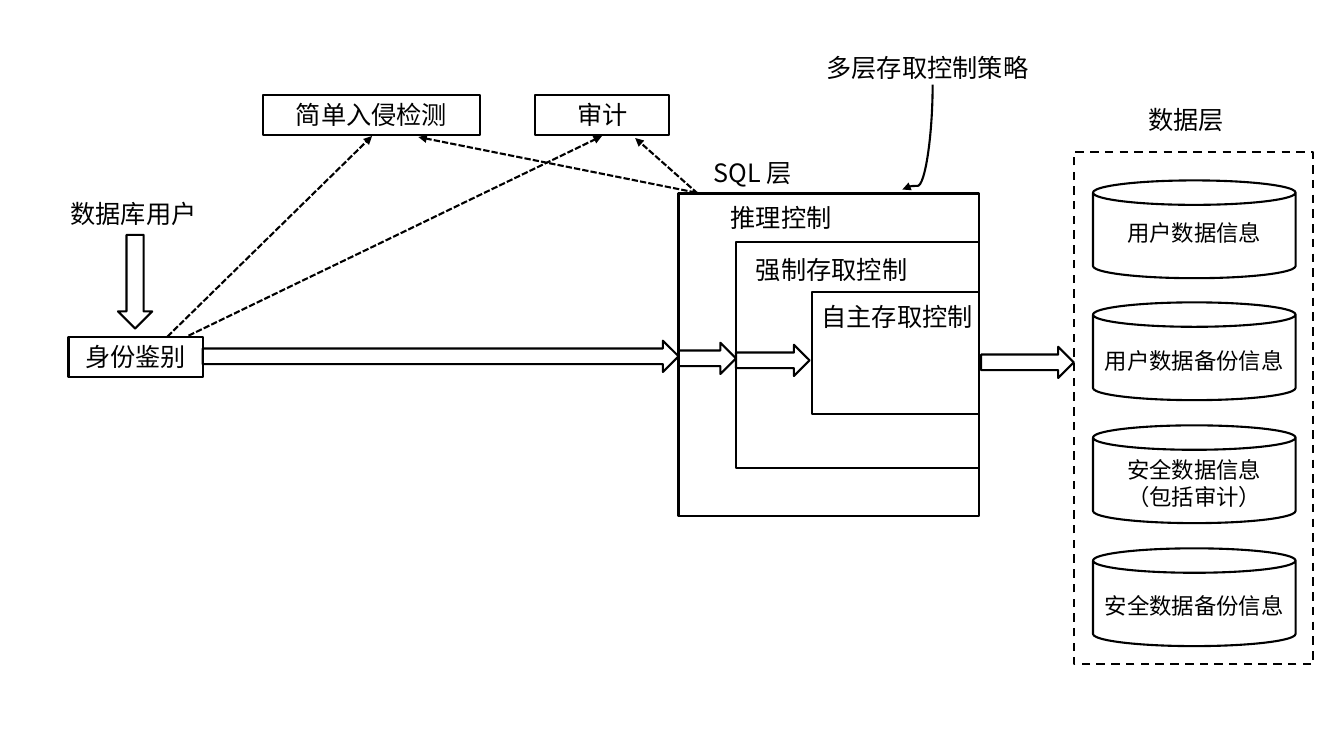
from lxml.etree import SubElement
from pptx import Presentation
from pptx.dml.color import RGBColor
from pptx.enum.dml import MSO_LINE
from pptx.enum.shapes import MSO_CONNECTOR, MSO_SHAPE
from pptx.enum.text import MSO_ANCHOR, MSO_AUTO_SIZE, PP_ALIGN
from pptx.oxml.ns import qn
from pptx.util import Pt

PX = 9144  # 100 px to the inch
INK = {"line": "000000", "text": "000000"}
FONT = "Noto Sans CJK SC"

# Content: left, top, width, height in px
LABELS = [
    ("数据库用户", 60, 192, 149, 40),
    ("多层存取控制策略", 810, 47, 230, 40),
    ("SQL 层", 698, 151, 141, 40),
    ("推理控制", 715, 196, 164, 40),
    ("强制存取控制", 740, 247, 230, 40),
    ("自主存取控制", 805, 294, 173, 40),
    ("数据层", 1129, 99, 123, 40),
]
BOXES = [
    ("身份鉴别", 68, 334, 133, 40),
    ("简单入侵检测", 261, 94, 215, 40),
    ("审计", 531, 94, 133, 40),
]
LAYERS = [(673, 192, 320), (730, 240, 224), (805, 290, 121)]  # left, top, height
EDGE = 971  # right side shared by the layers
ARROWS = [(201, 338, 472), (673, 340, 57), (730, 342, 73), (973, 344, 92)]  # left, top, width
DASHES = [  # from x, y to x, y
    (166, 334, 369, 135), (187, 333, 597, 135),
    (690, 191, 415, 136), (692, 192, 630, 137),
]
STORE = (1065, 151, 237, 508)
CANS = [  # text, its top and height
    ("用户数据信息", 212, 37),
    ("用户数据备份信息", 339, 37),
    ("安全数据信息\n（包括审计）", 448, 64),
    ("安全数据备份信息", 583, 37),
]
CAN = (1084, 179, 201, 97)
SPAN = 365  # first can top to last can top

deck = Presentation()
deck.slide_width, deck.slide_height = 1333 * PX, 750 * PX
slide = deck.slides.add_slide(deck.slide_layouts[6])


def emu(*nums):
    return [n * PX for n in nums]


def style(obj, vals):
    for name, val in vals.items():
        setattr(obj, name, val)


def stroke(item, dash=None):
    item.line.color.rgb = RGBColor.from_string(INK["line"])
    style(item.line, {"width": Pt(1.5), "dash_style": dash})


def write(item, text, size=18, align=PP_ALIGN.LEFT):
    frame = item.text_frame
    frame.text = text
    style(frame, {"word_wrap": True, "vertical_anchor": MSO_ANCHOR.TOP,
                  "auto_size": MSO_AUTO_SIZE.SHAPE_TO_FIT_TEXT})
    for para in frame.paragraphs:
        para.alignment = align
        for run in para.runs:
            style(run.font, {"name": FONT, "size": Pt(size)})
            run.font.color.rgb = RGBColor.from_string(INK["text"])
            SubElement(run.font._element, qn("a:ea"), typeface=FONT)


def shape(kind, rect, dash=None):
    item = slide.shapes.add_shape(kind, *emu(*rect))
    item.shadow.inherit = False
    item.fill.background()
    stroke(item, dash)
    return item


def label(text, rect, **kind):
    write(slide.shapes.add_textbox(*emu(*rect)), text, **kind)


def link(kind, ends, dash=None):
    item = slide.shapes.add_connector(kind, *emu(*ends))
    stroke(item, dash)
    props = item._element.spPr
    SubElement(props.find(qn("a:ln")), qn("a:tailEnd"), type="triangle")
    SubElement(props, qn("a:effectLst"))
    return props


# User, checks and access layers
shape(MSO_SHAPE.DOWN_ARROW, (117, 233, 34, 93))
for text, *rect in BOXES:
    write(shape(MSO_SHAPE.RECTANGLE, rect), text, align=PP_ALIGN.CENTER)
for left, top, high in LAYERS:
    shape(MSO_SHAPE.RECTANGLE, (left, top, EDGE - left, high))

# Data layer
shape(MSO_SHAPE.RECTANGLE, STORE, MSO_LINE.DASH)
left, first, wide, high = CAN
for i, (text, top, tall) in enumerate(CANS):
    shape(MSO_SHAPE.CAN, (left, first + SPAN * i // (len(CANS) - 1), wide, high))
    label(text, (left, top, wide, tall), size=16, align=PP_ALIGN.CENTER)

# Flow arrows and dashed links
for left, top, wide in ARROWS:
    shape(MSO_SHAPE.RIGHT_ARROW, (left, top, wide, 31))
for ends in DASHES:
    link(MSO_CONNECTOR.STRAIGHT, ends, MSO_LINE.SQUARE_DOT)

# Curve from the policy label, turned a quarter
props = link(MSO_CONNECTOR.CURVE, (858, 121, 962, 151))
props.find(qn("a:xfrm")).set("rot", "5400000")
guides = props.find(qn("a:prstGeom")).find(qn("a:avLst"))
SubElement(guides, qn("a:gd"), name="adj1", fmla="val 96600")

# Labels
for text, *rect in LABELS:
    label(text, rect)

deck.save("out.pptx")
